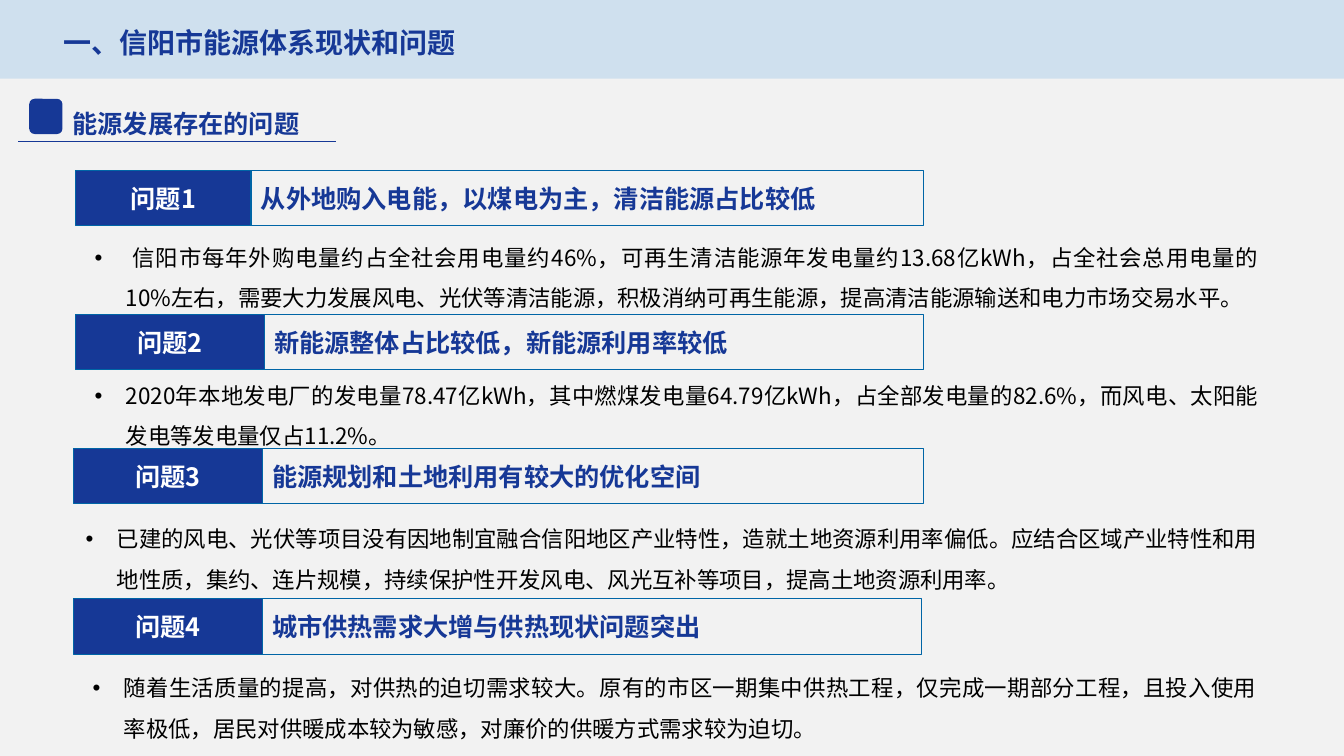
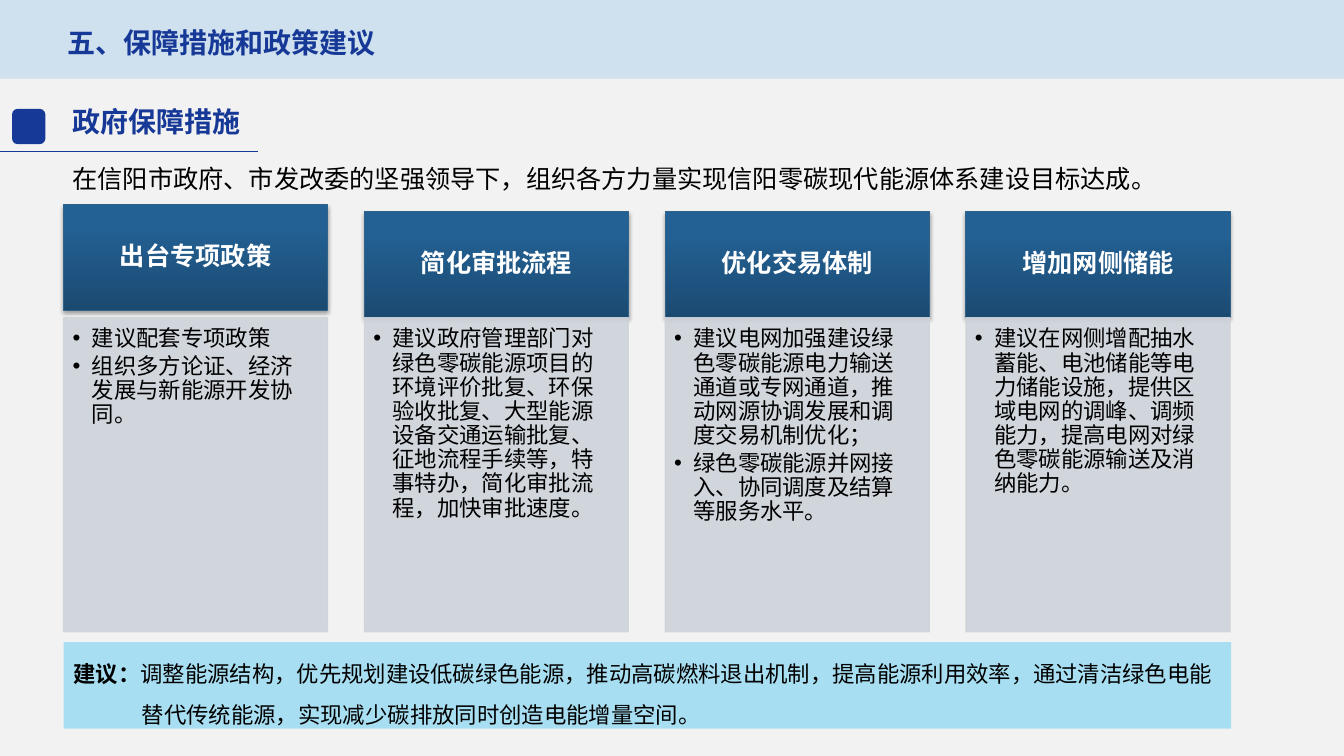
"""Two slides on the energy system of Xinyang: its problems and the support measures."""
from lxml import etree
from pptx import Presentation
from pptx import util as u
from pptx.dml.color import RGBColor
from pptx.enum import shapes, text
from pptx.oxml import parse_xml
from pptx.oxml.ns import nsdecls, qn

FONT = "Noto Sans CJK SC"
NAVY = RGBColor(0x16, 0x38, 0x96)
EDGE = RGBColor(0x00, 0x65, 0xA6)
BAND = RGBColor(0xCF, 0xE0, 0xEE)
PAPER = RGBColor(0xF2, 0xF2, 0xF2)
STEEL = RGBColor(0x31, 0x62, 0x8A)
GREY = RGBColor(0xCE, 0xD3, 0xDA)
SKY = RGBColor(0x00, 0xB0, 0xF0)
BLACK = RGBColor(0, 0, 0)
WHITE = RGBColor(0xFF, 0xFF, 0xFF)
RECT = shapes.MSO_SHAPE.RECTANGLE
ROUND = shapes.MSO_SHAPE.ROUNDED_RECTANGLE
LEFT, CENTER, JUSTIFY = text.PP_ALIGN.LEFT, text.PP_ALIGN.CENTER, text.PP_ALIGN.JUSTIFY
TOP, MIDDLE = text.MSO_ANCHOR.TOP, text.MSO_ANCHOR.MIDDLE


def add_box(s, at, fill=None, line=None, alpha=None, kind=RECT):
    """Add a preset shape without shadow, with optional fill, line and opacity."""
    sp = s.shapes.add_shape(kind, *[u.Inches(v) for v in at])
    sp.shadow.inherit = False
    if fill is None:
        sp.fill.background()
    else:
        sp.fill.solid()
        sp.fill.fore_color.rgb = fill
    if line is None:
        sp.line.fill.background()
    else:
        sp.line.color.rgb = line
        sp.line.width = u.Pt(0.75)
    if alpha:
        for clr in sp._element.spPr.iter(qn("a:srgbClr")):
            etree.SubElement(clr, qn("a:alpha"), val=str(alpha * 1000))
    return sp


def write(sp, paragraphs, size, color, bold=False, align=LEFT, anchor=TOP,
          spacing=None, after=None, hang=0, bullet=False, insets=None):
    """Fill a shape with paragraphs; each is a list of runs, the first bold if there are more."""
    tf = sp.text_frame
    tf.word_wrap = True
    tf.vertical_anchor = anchor
    if insets:
        tf.margin_left, tf.margin_top, tf.margin_right, tf.margin_bottom = [u.Inches(v) for v in insets]
    for i, runs in enumerate(paragraphs):
        p = tf.add_paragraph() if i else tf.paragraphs[0]
        pPr = p._p.get_or_add_pPr()
        if hang:
            pPr.set("marL", str(u.Inches(hang)))
            pPr.set("indent", str(-u.Inches(hang)))
        if bullet:
            etree.SubElement(pPr, qn("a:buFont"), typeface="Arial")
            etree.SubElement(pPr, qn("a:buChar"), char="•")
        p.alignment = align
        if spacing:
            p.line_spacing = spacing
        if after:
            p.space_after = u.Pt(after)
        for j, words in enumerate(runs):
            r = p.add_run()
            r.text = words
            r.font.name = FONT
            r.font.size = u.Pt(size)
            r.font.bold = bold or (len(runs) > 1 and j == 0)
            r.font.color.rgb = color
            etree.SubElement(r._r.get_or_add_rPr(), qn("a:ea"), typeface=FONT)


prs = Presentation()
prs.slide_width, prs.slide_height = u.Inches(13.33), u.Inches(7.5)

heads = [
    ("一、信阳市能源体系现状和问题", (0.53, 0.2, 4.13, 0.44),
     "能源发展存在的问题", (0.62, 0.88, 2.77, 0.56), 18, 1.5, (3.33, 0.18, 1.4), (0.29, 0.98)),
    ("五、保障措施和政策建议", (0.57, 0.2, 3.29, 0.44),
     "政府保障措施", (0.62, 0.99, 2, 0.44), 20, None, (2.56, 0, 1.5), (0.12, 1.08)),
]
for title, title_at, heading, heading_at, size, spacing, (x1, x2, y), marker in heads:
    s = prs.slides.add_slide(prs.slide_layouts[6])
    s.background.fill.solid()
    s.background.fill.fore_color.rgb = PAPER
    add_box(s, (0, 0, 13.33, 0.78), BAND)
    tb = s.shapes.add_textbox(*[u.Inches(v) for v in title_at])
    write(tb, [[title]], 20, NAVY, bold=True)
    tb = s.shapes.add_textbox(*[u.Inches(v) for v in heading_at])
    write(tb, [[heading]], size, NAVY, bold=True, spacing=spacing)
    rule = s.shapes.add_connector(shapes.MSO_CONNECTOR.STRAIGHT,
                                  u.Inches(x1), u.Inches(y), u.Inches(x2), u.Inches(y))
    rule.line.color.rgb = NAVY
    rule.line.width = u.Pt(0.75)
    etree.SubElement(rule._element.spPr, qn("a:effectLst"))
    add_box(s, (*marker, 0.33, 0.35), NAVY, kind=ROUND)

problems_slide, measures_slide = prs.slides

problems = [
    (0.75, 1.69, 1.74, 9.16, 0.84, 2.24, "从外地购入电能，以煤电为主，清洁能源占比较低",
     " 信阳市每年外购电量约占全社会用电量约46%，可再生清洁能源年发电量约13.68亿kWh，占全社会总用电量的10%左右，"
     "需要大力发展风电、光伏等清洁能源，积极消纳可再生能源，提高清洁能源输送和电力市场交易水平。"),
    (0.75, 3.12, 1.87, 9.16, 0.84, 3.61, "新能源整体占比较低，新能源利用率较低",
     "2020年本地发电厂的发电量78.47亿kWh，其中燃煤发电量64.79亿kWh，占全部发电量的82.6%，"
     "而风电、太阳能发电等发电量仅占11.2%。"),
    (0.73, 4.45, 1.87, 9.16, 0.75, 5.03, "能源规划和土地利用有较大的优化空间",
     "已建的风电、光伏等项目没有因地制宜融合信阳地区产业特性，造就土地资源利用率偏低。"
     "应结合区域产业特性和用地性质，集约、连片规模，持续保护性开发风电、风光互补等项目，提高土地资源利用率。"),
    (0.73, 5.94, 1.87, 9.14, 0.82, 6.51, "城市供热需求大增与供热现状问题突出",
     "随着生活质量的提高，对供热的迫切需求较大。原有的市区一期集中供热工程，仅完成一期部分工程，"
     "且投入使用率极低，居民对供暖成本较为敏感，对廉价的供暖方式需求较为迫切。"),
]
for n, (x, y, label_w, right, body_x, body_y, topic, body) in enumerate(problems, 1):
    label = add_box(problems_slide, (x, y, label_w, 0.55), NAVY, EDGE)
    write(label, [[f"问题{n}"]], 18, WHITE, bold=True, align=CENTER, anchor=MIDDLE)
    topic_x = x + label_w
    frame = add_box(problems_slide, (topic_x, y, right - topic_x, 0.55), line=EDGE)
    write(frame, [[topic]], 18, NAVY, bold=True, anchor=MIDDLE)
    tb = problems_slide.shapes.add_textbox(u.Inches(body_x), u.Inches(body_y),
                                           u.Inches(12.58 - body_x), u.Inches(0.86))
    write(tb, [[body]], 16, BLACK, align=JUSTIFY, spacing=1.5, hang=0.31, bullet=True)

tb = measures_slide.shapes.add_textbox(u.Inches(0.62), u.Inches(1.57), u.Inches(11.76), u.Inches(0.4))
write(tb, [["在信阳市政府、市发改委的坚强领导下，组织各方力量实现信阳零碳现代能源体系建设目标达成。"]], 18, BLACK)

measures = [
    ("出台专项政策", 2.03, ["建议配套专项政策", "组织多方论证、经济发展与新能源开发协同。"]),
    ("简化审批流程", 2.1, ["建议政府管理部门对绿色零碳能源项目的环境评价批复、环保验收批复、大型能源设备交通运输批复、"
                     "征地流程手续等，特事特办，简化审批流程，加快审批速度。"]),
    ("优化交易体制", 2.1, ["建议电网加强建设绿色零碳能源电力输送通道或专网通道，推动网源协调发展和调度交易机制优化；",
                     "绿色零碳能源并网接入、协同调度及结算等服务水平。"]),
    ("增加网侧储能", 2.1, ["建议在网侧增配抽水蓄能、电池储能等电力储能设施，提供区域电网的调峰、调频能力，"
                     "提高电网对绿色零碳能源输送及消纳能力。"]),
]
pitch = (9.58 - 0.63) / 3
stops = "".join(f'<a:gs pos="{pos}000"><a:srgbClr val="{clr}"/></a:gs>'
                for pos, clr in ((0, "1B4A71"), (80, "236093"), (100, "216195")))
gradient = (f'<a:gradFill {nsdecls("a")} rotWithShape="1"><a:gsLst>{stops}</a:gsLst>'
            '<a:lin ang="16200000" scaled="0"/></a:gradFill>')
shadow = (f'<a:outerShdw {nsdecls("a")} blurRad="40000" dist="23000" dir="5400000" rotWithShape="0">'
          '<a:srgbClr val="000000"><a:alpha val="35000"/></a:srgbClr></a:outerShdw>')
for i, (name, y, points) in enumerate(measures):
    x = 0.63 + pitch * i
    header = add_box(measures_slide, (x, y, 2.62, 1.05), line=STEEL)
    spPr = header._element.spPr
    spPr.replace(spPr.find(qn("a:noFill")), parse_xml(gradient))
    spPr.find(qn("a:effectLst")).append(parse_xml(shadow))
    write(header, [[name]], 18, WHITE, bold=True, align=CENTER, anchor=MIDDLE, spacing=0.9,
          insets=(0.14, 0.08, 0.14, 0.08))
    body = add_box(measures_slide, (x, 3.15, 2.62, 3.12), GREY, GREY, alpha=90)
    write(body, [[point] for point in points], 16, BLACK, spacing=0.9, after=2.4, hang=0.19,
          bullet=True, insets=(0.09, 0.1, 0.16, 0.14))

advice = add_box(measures_slide, (0.63, 6.37, 11.58, 0.86), SKY, alpha=30)
write(advice, [["建议：", "调整能源结构，优先规划建设低碳绿色能源，推动高碳燃料退出机制，提高能源利用效率，"
                "通过清洁绿色电能替代传统能源，实现减少碳排放同时创造电能增量空间。"]],
      16, BLACK, spacing=1.5, hang=0.68)

prs.save("out.pptx")
